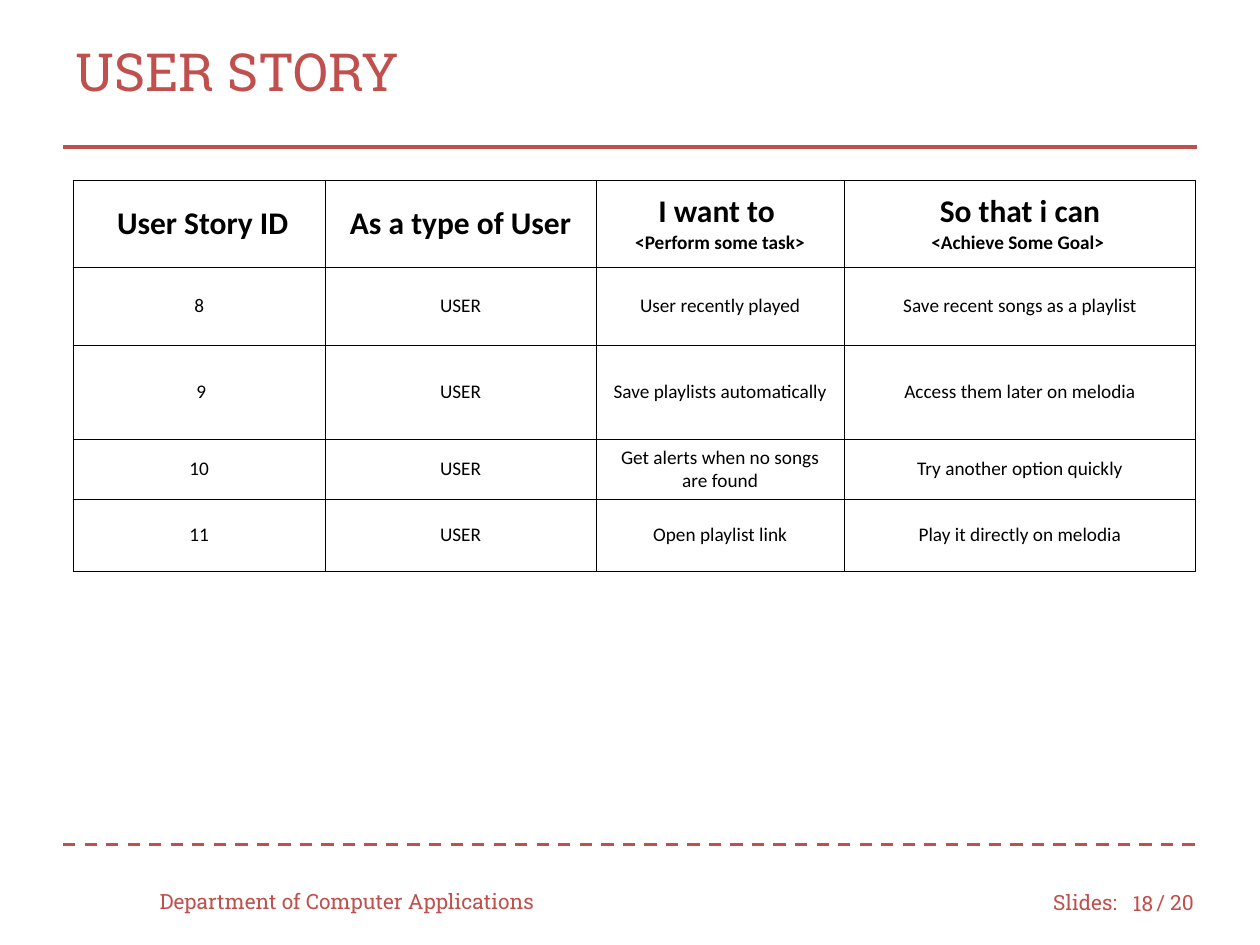
import pptx
import pptx.dml.color
import pptx.enum.dml
import pptx.enum.shapes
import pptx.enum.text
import pptx.oxml
import pptx.oxml.ns
import pptx.util

Pt = pptx.util.Pt
ALIGN = pptx.enum.text.PP_ALIGN
MIDDLE = pptx.enum.text.MSO_ANCHOR.MIDDLE
RED, BLACK, WHITE = "C0504D", "000000", "FFFFFF"

COLUMNS = [144, 154.8, 141.8, 200.9]
ROW_HEIGHTS = [49.7, 44.6, 53.7, 34.3, 41.1]
HEADERS = [
    [" User Story ID"],
    ["As a type of User"],
    ["I want to ", "<Perform some task>"],
    ["So that i can", "<Achieve Some Goal> "],
]
STORIES = [
    ("8", "User recently played", "Save recent songs as a playlist"),
    (" 9", "Save playlists automatically", "Access them later on melodia"),
    ("10", "Get alerts when no songs are found", "Try another option quickly"),
    ("11", "Open playlist link", "Play it directly on melodia"),
]


def rgb(color):
    """Turn a hex string into a colour."""
    return pptx.dml.color.RGBColor.from_string(color)


def style(p, font, size, color, align, bold=False):
    """Set the font and alignment of a paragraph."""
    p.alignment = align
    p.font.name = font
    p.font.size = Pt(size)
    p.font.bold = bold
    p.font.color.rgb = rgb(color)


def add_text(s, text, x, y, w, h, size=12, align=ALIGN.LEFT):
    """Add a red line of text, centred vertically in its box."""
    tf = s.shapes.add_textbox(Pt(x), Pt(y), Pt(w), Pt(h)).text_frame
    tf.word_wrap = True
    tf.vertical_anchor = MIDDLE
    tf.text = text
    style(tf.paragraphs[0], "Roboto Slab", size, RED, align)


def add_rule(s, y, width, dashed=False):
    """Add a horizontal red rule between the slide margins."""
    line = s.shapes.add_connector(
        pptx.enum.shapes.MSO_CONNECTOR.STRAIGHT, Pt(36), Pt(y), Pt(684), Pt(y))
    line.line.color.rgb = rgb(RED)
    line.line.width = Pt(width)
    if dashed:
        line.line.dash_style = pptx.enum.dml.MSO_LINE.DASH
    pptx.oxml.ns.qn("a:effectLst")
    line._element.spPr.append(pptx.oxml.parse_xml(
        f'<a:effectLst {pptx.oxml.ns.nsdecls("a")}/>'))


def add_borders(cell):
    """Draw thin black borders on all sides of a cell."""
    tcPr = cell._tc.get_or_add_tcPr()
    for side in ("lnL", "lnR", "lnT", "lnB"):
        tcPr.append(pptx.oxml.parse_xml(
            f'<a:{side} {pptx.oxml.ns.nsdecls("a")} w="{Pt(0.75)}">'
            f'<a:solidFill><a:srgbClr val="{BLACK}"/></a:solidFill></a:{side}>'))


def fill_cell(cell, lines, sizes, bold, margin):
    """Write centred lines into a bordered white cell."""
    add_borders(cell)
    cell.fill.solid()
    cell.fill.fore_color.rgb = rgb(WHITE)
    cell.vertical_anchor = MIDDLE
    cell.margin_left = cell.margin_right = Pt(7.2)
    cell.margin_top = cell.margin_bottom = Pt(margin)
    cell.text = "\n".join(lines)
    for p, size in zip(cell.text_frame.paragraphs, sizes):
        style(p, "Calibri", size, BLACK, ALIGN.CENTER, bold)


def add_story_table(s, x, y):
    """Add the table of user stories."""
    table = s.shapes.add_table(
        len(ROW_HEIGHTS), len(COLUMNS), Pt(x), Pt(y),
        Pt(sum(COLUMNS)), Pt(sum(ROW_HEIGHTS))).table
    for column, width in zip(table.columns, COLUMNS):
        column.width = Pt(width)
    for row, height in zip(table.rows, ROW_HEIGHTS):
        row.height = Pt(height)
    for cell, lines in zip(table.rows[0].cells, HEADERS):
        fill_cell(cell, lines, (18, 11), True, 7.2)
    for i, (number, task, goal) in enumerate(STORIES, 1):
        for j, text in enumerate((number, "USER", task, goal)):
            margin = 3.6 if j == 2 else 7.2
            fill_cell(table.cell(i, j), [text], (11,), False, margin)


def main():
    """Build the user story slide."""
    prs = pptx.Presentation()
    prs.slide_width, prs.slide_height = Pt(720), Pt(540)
    s = prs.slides.add_slide(prs.slide_layouts[6])
    add_text(s, "Slides:", 594.7, 501.1, 54, 28.8)
    add_text(s, "/ 20", 653.8, 501.1, 41.8, 28.8)
    add_rule(s, 482.4, 1.75, dashed=True)
    add_rule(s, 84, 1.75)
    add_text(s, "USER STORY", 36, 14.4, 648, 51.8, size=30)
    add_text(s, "Department of Computer Applications", 84.2, 500.4, 239.8, 28.8)
    add_text(s, "18", 635.8, 501.8, 30.2, 28.8, align=ALIGN.RIGHT)
    add_story_table(s, 41.8, 103)
    prs.save("out.pptx")


if __name__ == "__main__":
    main()
